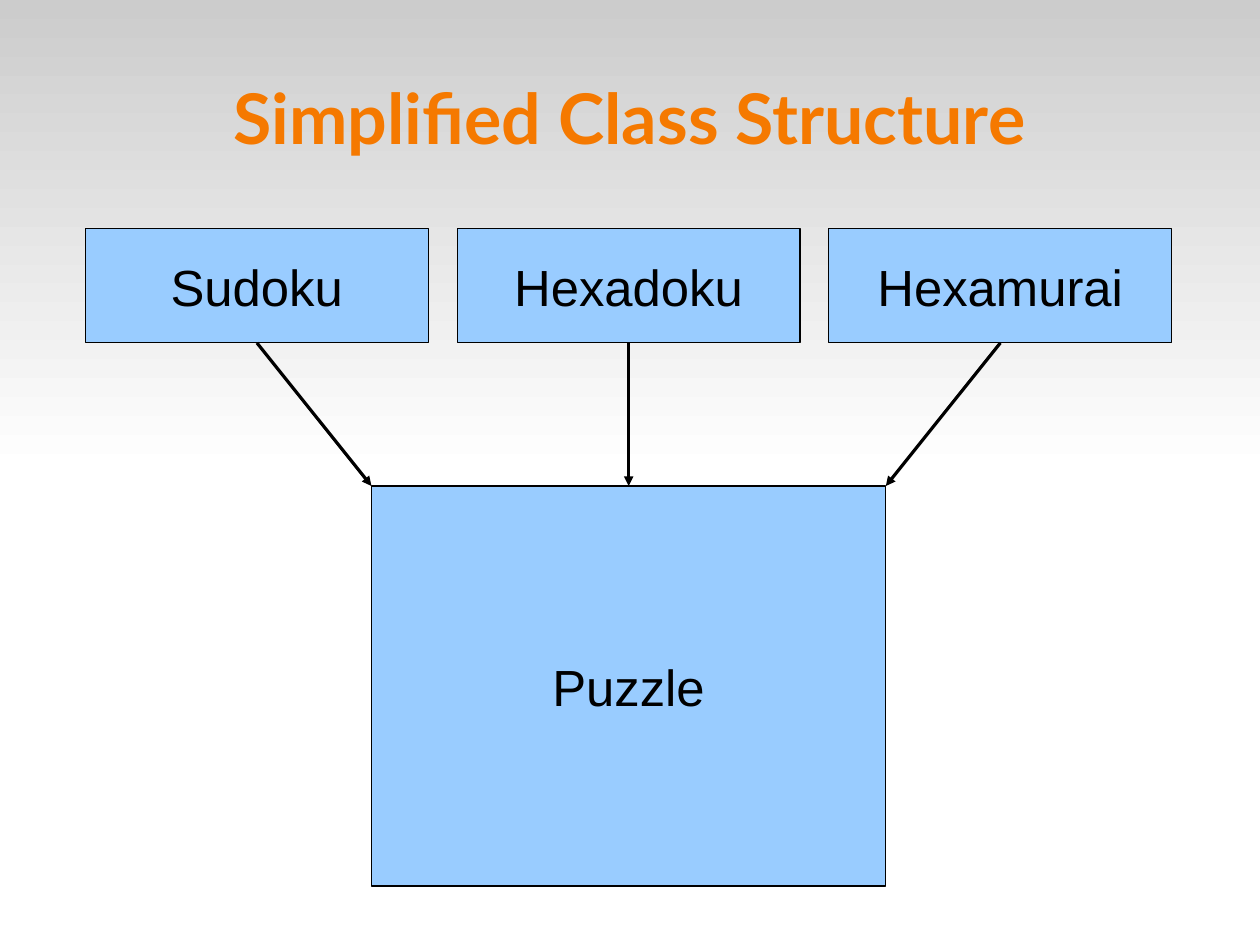
from dataclasses import dataclass

from lxml.etree import SubElement
from pptx import Presentation
from pptx.dml.color import RGBColor as Rgb
from pptx.enum.shapes import MSO_CONNECTOR as Link, MSO_SHAPE as Form
from pptx.enum.text import MSO_ANCHOR as Anchor, PP_ALIGN as Align
from pptx.oxml.ns import qn
from pptx.util import Cm, Pt


@dataclass(frozen=True)
class Theme:
    head: Rgb = Rgb(0xF5, 0x79, 0x00)
    box: Rgb = Rgb(0x99, 0xCC, 0xFF)
    ink: Rgb = Rgb(0, 0, 0)
    fade: tuple = (Rgb(0xCC, 0xCC, 0xCC), Rgb(0xFF, 0xFF, 0xFF))
    head_font: str = "Lato"
    font: str = "Arial"
    head_size: int = 44
    size: int = 32
    hair: int = 0


class Board:
    def __init__(self, deck, theme):
        self.theme = theme
        self.slide = deck.slides.add_slide(deck.slide_layouts[5])
        self.shapes = self.slide.shapes

    def label(self, frame, text, font, size, color, bold=False):
        frame.word_wrap = True
        frame.vertical_anchor = Anchor.MIDDLE
        para = frame.paragraphs[0]
        para.text = text
        para.alignment = Align.CENTER
        para.font.name = font
        para.font.size = Pt(size)
        para.font.bold = bold
        para.font.color.rgb = color

    def title(self, text, left, top, width, height):
        head = self.shapes.title
        head.left, head.top = Cm(left), Cm(top)
        head.width, head.height = Cm(width), Cm(height)
        frame = head.text_frame
        frame.margin_left = frame.margin_right = 0
        frame.margin_top = frame.margin_bottom = 0
        look = self.theme
        self.label(frame, text, look.head_font, look.head_size, look.head, True)

    def band(self, width, height):
        """Add a downward fade behind everything else."""
        band = self.shapes.add_shape(Form.RECTANGLE, 0, 0, Cm(width), Cm(height))
        band.shadow.inherit = False
        band.line.fill.background()
        band.fill.gradient()
        band.fill.gradient_angle = 270
        for stop, color in zip(band.fill.gradient_stops, self.theme.fade):
            stop.color.rgb = color
        self.shapes.title._element.addprevious(band._element)

    def box(self, text, form, left, top, width, height):
        look = self.theme
        box = self.shapes.add_shape(form, Cm(left), Cm(top), Cm(width), Cm(height))
        box.shadow.inherit = False
        box.fill.solid()
        box.fill.fore_color.rgb = look.box
        box.line.color.rgb = look.ink
        box.line.width = Pt(look.hair)
        self.label(box.text_frame, text, look.font, look.size, look.ink)
        return box

    def arrow(self, box, x, y):
        """Join the bottom of a box to a point, with the arrowhead there."""
        line = self.shapes.add_connector(Link.STRAIGHT, 0, 0, Cm(x), Cm(y))
        line.begin_connect(box, 2)
        line.line.color.rgb = self.theme.ink
        line.line.width = Pt(self.theme.hair)
        SubElement(line.line._ln, qn("a:tailEnd"), type="triangle")
        SubElement(line._element.spPr, qn("a:effectLst"))


def main():
    deck = Presentation()
    wide, high = 28, 21
    deck.slide_width, deck.slide_height = Cm(wide), Cm(high)
    board = Board(deck, Theme())
    board.band(wide, high / 2)
    board.title("Simplified Class Structure", 1.4, 0.84, 25.2, 3.5)

    mid, step = 13.97, 8.26
    kid_top, kid_wide, kid_high = 5.08, 7.62, 2.54
    base_top, base_wide, base_high = 10.8, 11.43, 8.89
    kids = [
        board.box(name, Form.FLOWCHART_PROCESS,
                  mid + side * step - kid_wide / 2, kid_top, kid_wide, kid_high)
        for side, name in enumerate(("Sudoku", "Hexadoku", "Hexamurai"), -1)
    ]
    board.box("Puzzle", Form.RECTANGLE,
              mid - base_wide / 2, base_top, base_wide, base_high)
    for side, kid in enumerate(kids, -1):
        board.arrow(kid, mid + side * base_wide / 2, base_top)

    deck.save("out.pptx")


if __name__ == "__main__":
    main()
